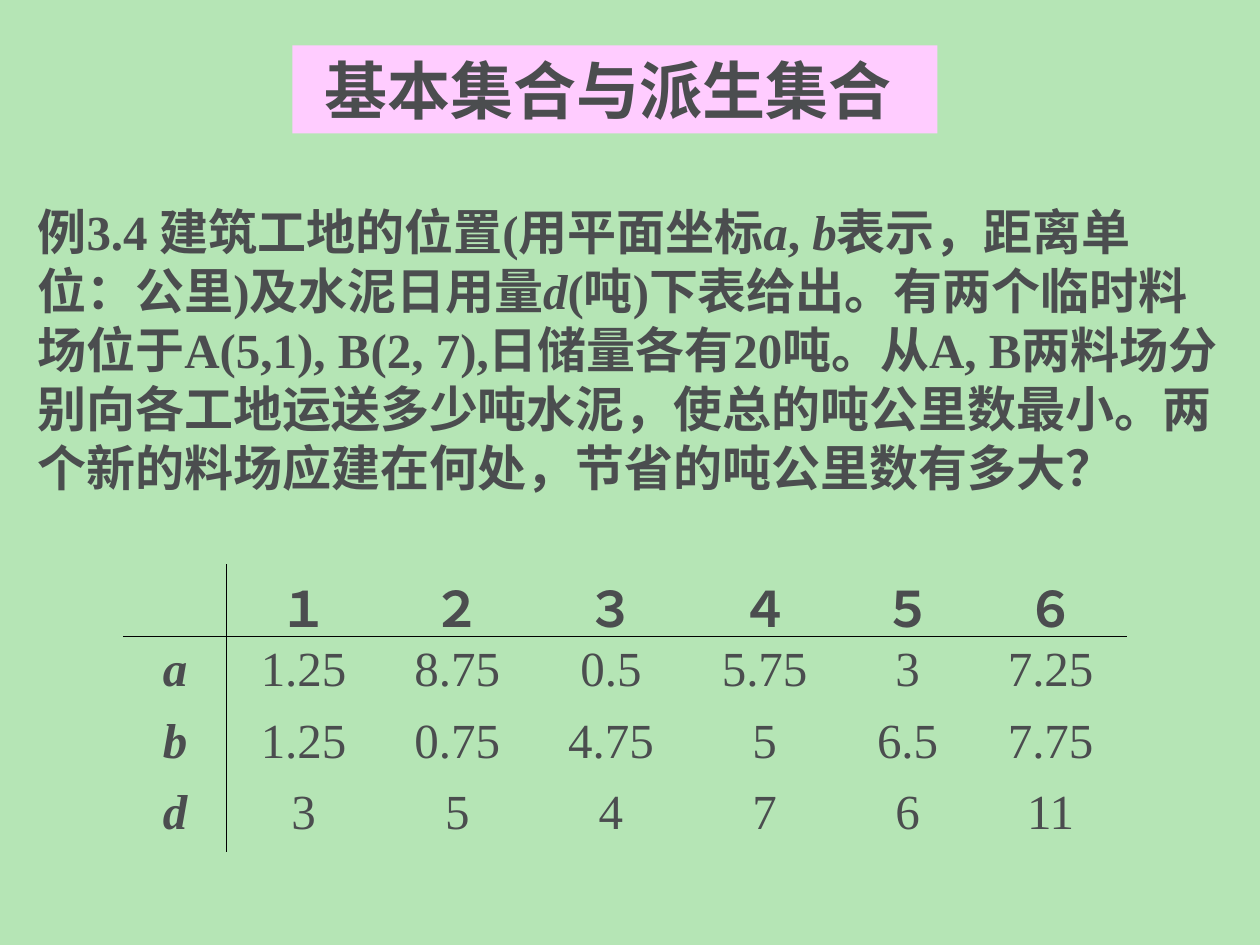
from lxml import etree
from pptx import Presentation
from pptx.dml.color import RGBColor
from pptx.enum.shapes import MSO_SHAPE
from pptx.enum.text import MSO_ANCHOR, PP_ALIGN
from pptx.oxml.ns import qn
from pptx.util import Inches, Pt

GREEN = RGBColor(0xB5, 0xE5, 0xB5)
PINK = RGBColor(0xFF, 0xCC, 0xFF)
GRAY = RGBColor(0x4B, 0x4D, 0x4F)
BLACK = RGBColor(0, 0, 0)
NO_STYLE_NO_GRID = "{2D5ABB26-0587-4C30-8999-92F81FD0307C}"


def set_font(font, size=28, bold=True, italic=False):
    font.name = "Times New Roman"
    font.size = Pt(size)
    font.bold = bold
    font.italic = italic
    font.color.rgb = GRAY


def set_borders(cell, ruled_sides):
    """Rule the given sides (of L, R, T, B) and clear the rest; call before filling the cell."""
    for side in "LRTB":
        line = etree.SubElement(cell._tc.get_or_add_tcPr(), qn(f"a:ln{side}"), w=str(Pt(0.96)))
        if side in ruled_sides:
            fill = etree.SubElement(line, qn("a:solidFill"))
            etree.SubElement(fill, qn("a:srgbClr"), val=str(BLACK))
        else:
            etree.SubElement(line, qn("a:noFill"))


prs = Presentation()
prs.slide_width, prs.slide_height = Inches(10), Inches(7.5)
slide = prs.slides.add_slide(prs.slide_layouts[6])
slide.background.fill.solid()
slide.background.fill.fore_color.rgb = GREEN

# Title band
title = slide.shapes.add_shape(
    MSO_SHAPE.RECTANGLE, Inches(2.32), Inches(0.36), Inches(5.12), Inches(0.7))
title.shadow.inherit = False
title.fill.solid()
title.fill.fore_color.rgb = PINK
title.line.fill.background()
title.text_frame.vertical_anchor = MSO_ANCHOR.TOP
heading = title.text_frame.paragraphs[0]
heading.text = "基本集合与派生集合 "
heading.alignment = PP_ALIGN.CENTER
set_font(heading.font, size=36)

# Problem statement, with the variables in italics
problem = slide.shapes.add_textbox(Inches(0.2), Inches(1.55), Inches(9.61), Inches(2.44))
problem.text_frame.word_wrap = True
problem.text_frame.vertical_anchor = MSO_ANCHOR.MIDDLE
statement = problem.text_frame.paragraphs[0]
statement._p.get_or_add_pPr().set("hangingPunct", "0")
for text, is_variable in [
    ("例3.4 建筑工地的位置(用平面坐标", False),
    ("a", True),
    (", ", False),
    ("b", True),
    ("表示，距离单位：公里)及水泥日用量", False),
    ("d", True),
    ("(吨)下表给出。有两个临时料场位于A(5,1), B(2, 7),日储量各有20吨。"
     "从A, B两料场分别向各工地运送多少吨水泥，使总的吨公里数最小。"
     "两个新的料场应建在何处，节省的吨公里数有多大？", False),
]:
    run = statement.add_run()
    run.text = text
    set_font(run.font, italic=is_variable)

# Site data: position a, b and daily demand d
site_rows = [
    ["", "１", "２", "３", "４", "５", "６"],
    ["a", "1.25", "8.75", "0.5", "5.75", "3", "7.25"],
    ["b", "1.25", "0.75", "4.75", "5", "6.5", "7.75"],
    ["d", "3", "5", "4", "7", "6", "11"],
]
column_widths = [0.82, 1.22, 1.22, 1.22, 1.22, 1.05, 1.22]
sites = slide.shapes.add_table(
    len(site_rows), len(column_widths),
    Inches(0.98), Inches(4.48), Inches(sum(column_widths)), Inches(2.27)).table
sites.first_row = sites.horz_banding = False
sites._tbl.tblPr.find(qn("a:tableStyleId")).text = NO_STYLE_NO_GRID
for column, width in zip(sites.columns, column_widths):
    column.width = Inches(width)

for r, values in enumerate(site_rows):
    sites.rows[r].height = Inches(0.57)
    for c, value in enumerate(values):
        cell = sites.cell(r, c)
        set_borders(cell, {0: "R", 1: "L"}.get(c, "") + {0: "B", 1: "T"}.get(r, ""))
        cell.fill.background()
        cell.text = value
        entry = cell.text_frame.paragraphs[0]
        entry.alignment = PP_ALIGN.CENTER
        set_font(entry.font, bold=r == 0 or c == 0, italic=c == 0)

prs.save("out.pptx")
